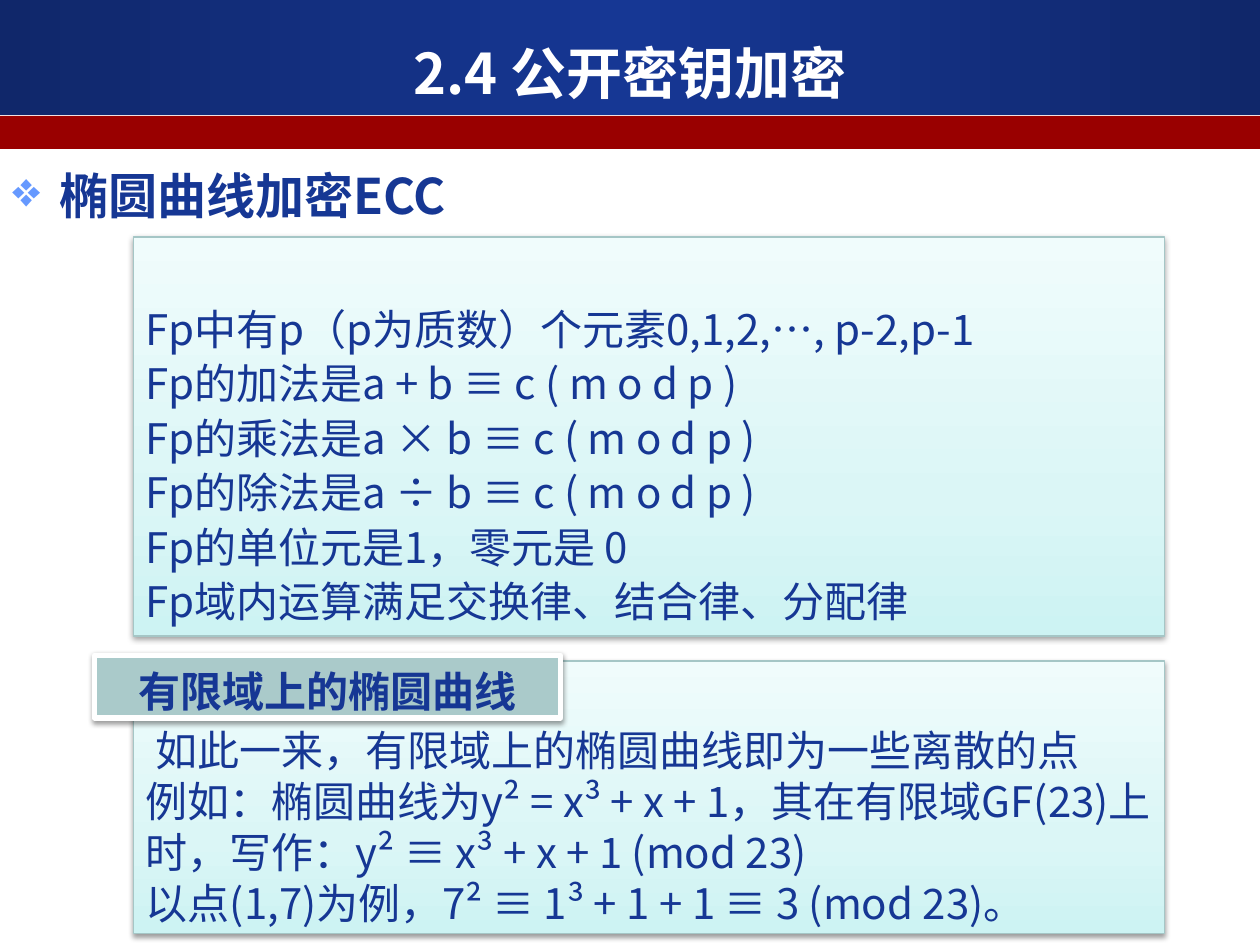
import pptx
import pptx.util
import pptx.dml.color
import pptx.enum.shapes
import pptx.enum.text
import pptx.oxml
import pptx.oxml.ns
from lxml import etree

Pt = pptx.util.Pt
ALIGN = pptx.enum.text.PP_ALIGN
ANCHOR = pptx.enum.text.MSO_ANCHOR
NS = pptx.oxml.ns.nsdecls("a")
qn = pptx.oxml.ns.qn

FONT = "Noto Sans CJK SC"
BLUE = "163794"
BAR_STOPS = [(0, "10276A"), (50, BLUE), (100, "10276A")]
PANEL_STOPS = [(0, "CDF3F3"), (35, "DBF6F6"), (100, "F0FCFC")]

FIELD_RULES = [
    "Fp中有p（p为质数）个元素0,1,2,…, p-2,p-1",
    "Fp的加法是a + b ≡ c ( m o d p )",
    "Fp的乘法是a × b ≡ c ( m o d p )",
    "Fp的除法是a ÷ b ≡ c ( m o d p )",
    "Fp的单位元是1，零元是 0",
    "Fp域内运算满足交换律、结合律、分配律",
]
CURVE_EXAMPLE = [
    "如此一来，有限域上的椭圆曲线即为一些离散的点",
    "例如：椭圆曲线为y² = x³ + x + 1，其在有限域GF(23)上时，写作：y² ≡ x³ + x + 1 (mod 23)",
    "以点(1,7)为例，7² ≡ 1³ + 1 + 1 ≡ 3 (mod 23)。",
]


def rgb(value):
    return pptx.dml.color.RGBColor.from_string(value)


def fill_gradient(s, stops, angle):
    s.fill.gradient()
    s.fill.gradient_angle = angle
    stop_list = s._element.spPr.find(".//" + qn("a:gsLst"))
    for old in list(stop_list):
        stop_list.remove(old)
    for position, color in stops:
        stop_list.append(pptx.oxml.parse_xml(
            f'<a:gs {NS} pos="{position * 1000}"><a:srgbClr val="{color}"/></a:gs>'))


def add_shadow(s):
    effects = s._element.spPr.find(qn("a:effectLst"))
    effects.append(pptx.oxml.parse_xml(
        f'<a:outerShdw {NS} blurRad="{Pt(3.1)}" dist="{Pt(1.6)}" dir="5400000" '
        'rotWithShape="0"><a:srgbClr val="000000"><a:alpha val="38000"/>'
        '</a:srgbClr></a:outerShdw>'))


def add_rect(slide, box, fill=None, stops=None, angle=0, line=None):
    s = slide.shapes.add_shape(
        pptx.enum.shapes.MSO_SHAPE.RECTANGLE, *[Pt(v) for v in box])
    s.shadow.inherit = False
    if stops:
        fill_gradient(s, stops, angle)
    else:
        s.fill.solid()
        s.fill.fore_color.rgb = rgb(fill)
    if line:
        s.line.color.rgb = rgb(line[0])
        s.line.width = Pt(line[1])
        add_shadow(s)
    else:
        s.line.fill.background()
    return s


def write(s, lines, size, color=BLUE, bold=False, align=ALIGN.LEFT,
          anchor=ANCHOR.TOP, top=3.6, spacing=None, gap=0):
    tf = s.text_frame
    frame = {"word_wrap": True, "vertical_anchor": anchor, "margin_top": Pt(top),
             "margin_bottom": Pt(3.6), "auto_size": pptx.enum.text.MSO_AUTO_SIZE.NONE}
    for name, value in frame.items():
        setattr(tf, name, value)
    for i, line in enumerate(lines):
        p = tf.paragraphs[0] if i == 0 else tf.add_paragraph()
        p.alignment = align
        p.space_before = Pt(gap if i else 0)
        if spacing:
            p.line_spacing = Pt(spacing)
        r = p.add_run()
        r.text = line
        for name, value in {"name": FONT, "size": Pt(size), "bold": bold}.items():
            setattr(r.font, name, value)
        r.font.color.rgb = rgb(color)
        etree.SubElement(r._r.get_or_add_rPr(), qn("a:ea"), typeface=FONT)
    return tf


def add_header(slide, box):
    left, top, width, height = box
    add_rect(slide, (left, top, width, 65.5), stops=BAR_STOPS)
    add_rect(slide, (left, top + 66.2, width, height - 66.2), fill="990000")
    title = slide.shapes.title
    title.left, title.top, title.width, title.height = [
        Pt(v) for v in (left, top + 21, width, 40)]
    write(title, ["2.4 公开密钥加密"], 32, "FFFFFF", True, ALIGN.CENTER, ANCHOR.MIDDLE)
    slide.shapes._spTree.append(title._element)  # in front of the bars


def add_heading(slide, box, text):
    s = slide.shapes.add_textbox(*[Pt(v) for v in box])
    tf = write(s, [text], 28, bold=True, top=5.4, spacing=34)
    pPr = tf.paragraphs[0]._p.get_or_add_pPr()
    pPr.set("marL", str(Pt(27)))
    pPr.set("indent", str(Pt(-27)))
    for xml in (f'<a:buClr {NS}><a:srgbClr val="6699FF"/></a:buClr>',
                f'<a:buChar {NS} char="❖"/>'):
        pPr.append(pptx.oxml.parse_xml(xml))


def add_panel(slide, box, lines, top, gap=0):
    s = add_rect(slide, box, stops=PANEL_STOPS, angle=90, line=("A5C6C6", 0.75))
    return write(s, lines, 24, top=top, spacing=29.1, gap=gap)


def add_label(slide, box, text):
    s = add_rect(slide, box, fill="AACACA", line=("FFFFFF", 3))
    write(s, [text], 24, bold=True, align=ALIGN.CENTER, top=5.5, spacing=29.1)


def main():
    prs = pptx.Presentation()
    prs.slide_width, prs.slide_height = Pt(720), Pt(540)
    slide = prs.slides.add_slide(prs.slide_layouts[5])

    # Header and section heading
    add_header(slide, (0, 0, 720, 85.2))
    add_heading(slide, (0, 88.6, 272, 40.3), "椭圆曲线加密ECC")

    # Finite field rules
    add_panel(slide, (76.3, 135.5, 589.2, 228), FIELD_RULES, top=37.5, gap=2)

    # Curve over the finite field
    tf = add_panel(slide, (76.3, 377.8, 589.2, 155.8), CURVE_EXAMPLE, top=36)
    tf.paragraphs[0]._p.get_or_add_pPr().set("marL", str(Pt(5.4)))
    add_label(slide, (54, 374.4, 266.4, 36), "有限域上的椭圆曲线")

    prs.save("out.pptx")


if __name__ == "__main__":
    main()
